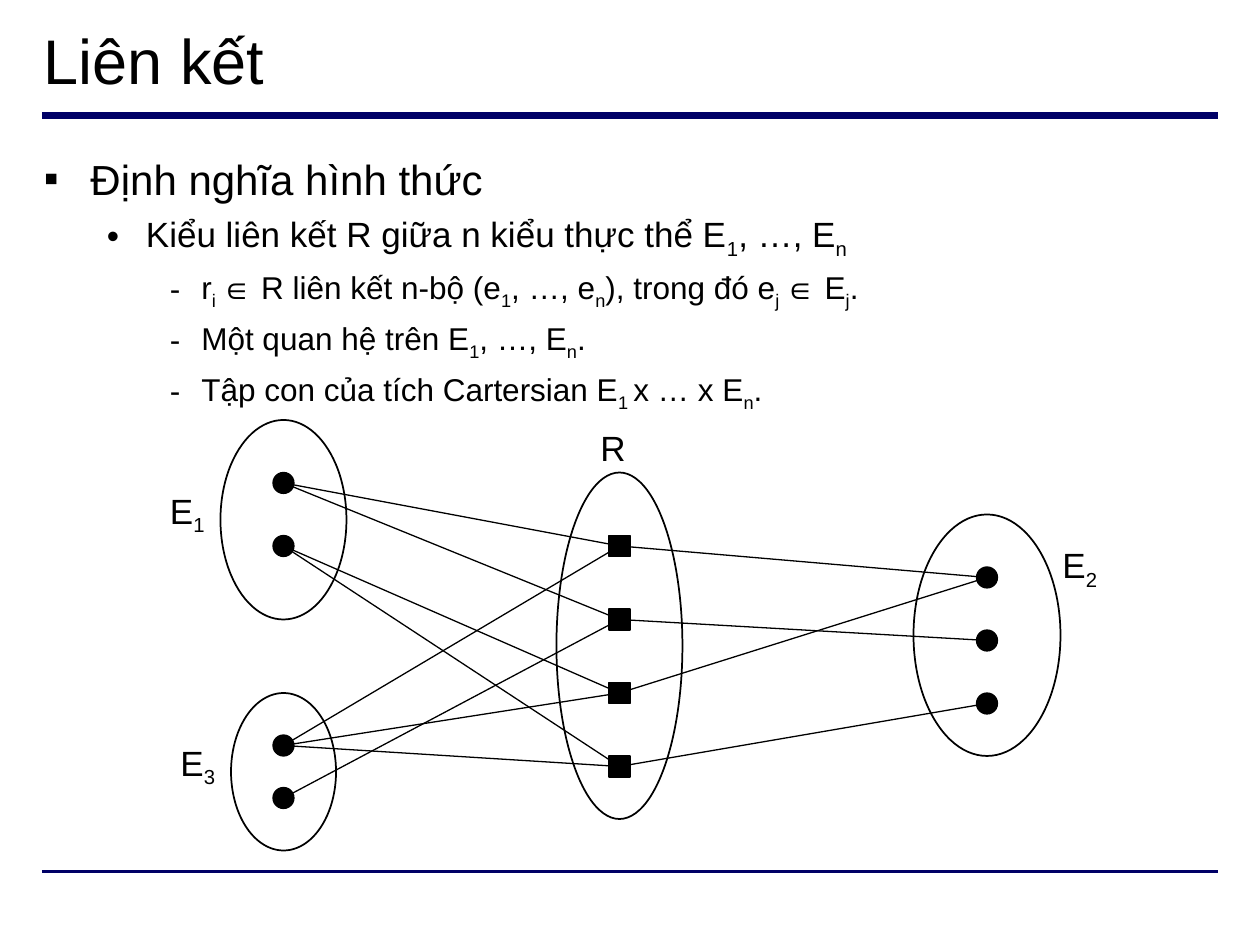
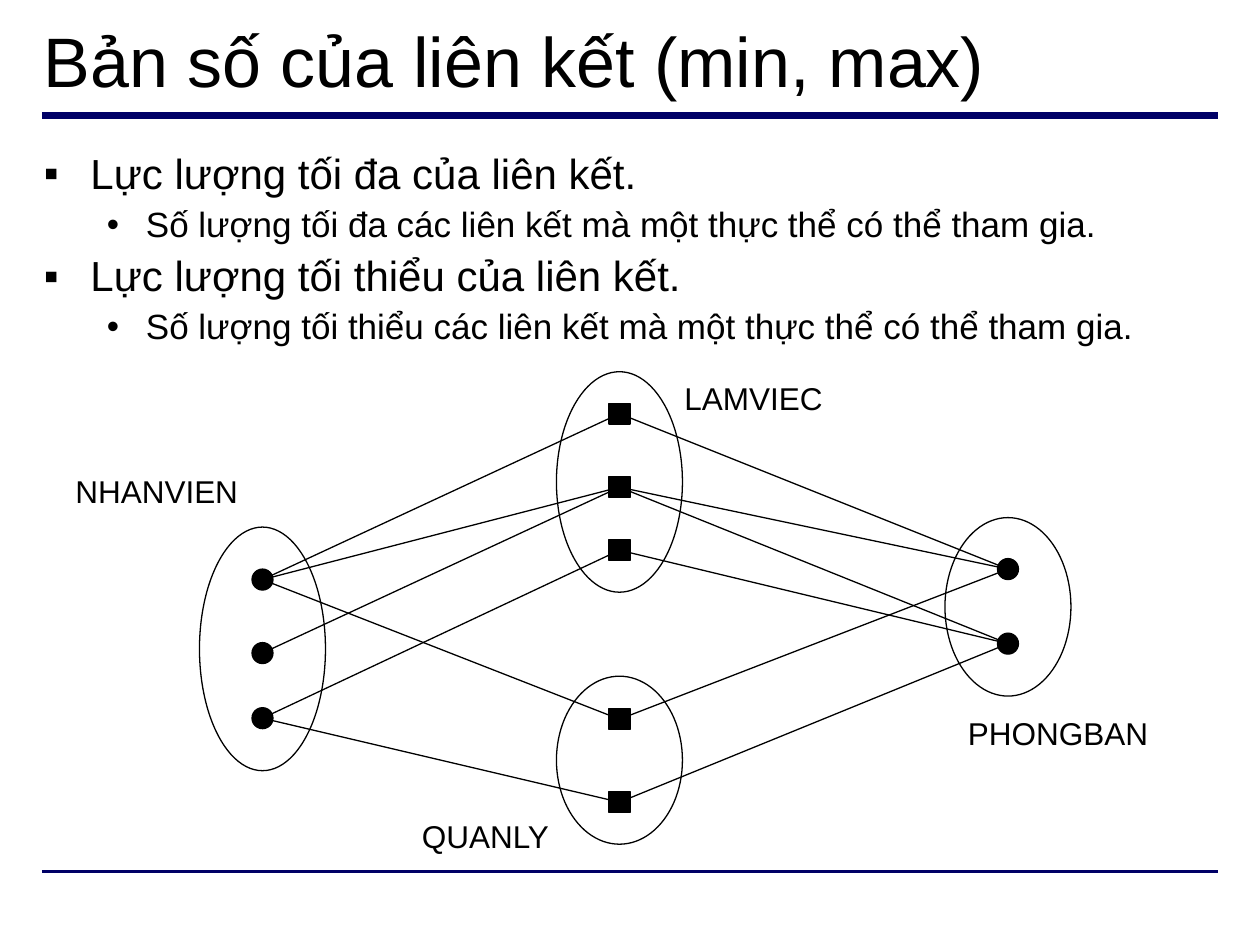
"""Build two slides on relationship types and their cardinality."""
from dataclasses import dataclass
from typing import Optional

from lxml.etree import SubElement
from pptx import Presentation
from pptx.dml.color import RGBColor
from pptx.enum.shapes import MSO_CONNECTOR, MSO_SHAPE
from pptx.enum.text import MSO_ANCHOR
from pptx.oxml.ns import qn
from pptx.slide import Slide
from pptx.text.text import TextFrame
from pptx.util import Inches, Pt

BLACK = RGBColor(0x00, 0x00, 0x00)
WHITE = RGBColor(0xFF, 0xFF, 0xFF)
NAVY = RGBColor(0x00, 0x00, 0x66)
FONT = "Arial"
WIDE, HIGH = Inches(10), Inches(7.5)
COLS, ROWS = 120, 90
DOT = 2
THIN = 0.75


@dataclass(frozen=True)
class Box:
    """A place on the grid, in columns and rows."""
    col: float
    row: float
    wide: float
    high: float

    def place(self) -> tuple[int, int, int, int]:
        """Give left, top, width and height as lengths."""
        return x_at(self.col), y_at(self.row), x_at(self.wide), y_at(self.high)


@dataclass(frozen=True)
class Level:
    """The look of one outline level."""
    mark: str
    left: float
    hang: float
    size: float
    gap: float


@dataclass(frozen=True)
class Group:
    """A ring with a label and a column of dots."""
    key: str
    label: str
    spot: Box
    ring: Box
    col: float
    rows: tuple[float, ...]
    form: MSO_SHAPE = MSO_SHAPE.OVAL


@dataclass(frozen=True)
class Page:
    """All that one slide shows."""
    title: str
    head: float
    lines: tuple[tuple[int, str], ...]
    lead: Optional[float]
    groups: tuple[Group, ...]
    links: str
    size: float
    edge: float
    fill: Optional[RGBColor]


TITLE = Box(3, 1, 114, 9.3)
BODY = Box(3, 14, 114, 66.5)
RULES = ((11, 4.5), (83, 2.25))
LEVELS = (
    Level("▪", 0.37, 0.37, 24, 6),
    Level("•", 0.81, 0.31, 20, 5),
    Level("-", 1.25, 0.25, 18, 4.5),
)

PAGES = (
    Page(
        "Liên kết", 36,
        (
            (0, "Định nghĩa hình thức"),
            (1, "Kiểu liên kết R giữa n kiểu thực thể E|1|, …, E|n"),
            (2, "r|i |∈ R liên kết n-bộ (e|1|, …, e|n|), trong đó e|j |∈ E|j|."),
            (2, "Một quan hệ trên E|1|, …, E|n|."),
            (2, "Tập con của tích Cartersian E|1 |x … x E|n|."),
        ),
        None,
        (
            Group("B", "E|2", Box(100, 51.2, 7, 5.8), Box(87, 49, 14, 23), 94, (55, 61, 67)),
            Group("R", "R", Box(56, 40, 5, 5.3), Box(53, 45, 12, 33), 59,
                  (52, 59, 66, 73), MSO_SHAPE.RECTANGLE),
            Group("A", "E|1", Box(15, 46, 6, 5.8), Box(21, 40, 12, 19), 27, (46, 52)),
            Group("C", "E|3", Box(16, 70, 6, 5.8), Box(22, 66, 10, 15), 27, (71, 76)),
        ),
        "A1-R1 C1-R1 R1-B1 A1-R2 C2-R2 R2-B2 A2-R3 C1-R3 R3-B1 A2-R4 C1-R4 R4-B3",
        20, 1, WHITE,
    ),
    Page(
        "Bản số của liên kết (min, max)", 40,
        (
            (0, "Lực lượng tối đa của liên kết."),
            (1, "Số lượng tối đa các liên kết mà một thực thể có thể tham gia."),
            (0, "Lực lượng tối thiểu của liên kết."),
            (1, "Số lượng tối thiểu các liên kết mà một thực thể có thể tham gia."),
        ),
        0.9,
        (
            Group("N", "NHANVIEN", Box(6, 44.4, 19, 4.8), Box(19, 50.2, 12, 23.2), 25,
                  (55.2, 62.2, 68.4)),
            Group("P", "PHONGBAN", Box(91, 67.4, 20, 4.8), Box(90, 49.3, 12, 17), 96,
                  (54.2, 61.3)),
            Group("Q", "QUANLY", Box(39, 77.2, 15, 4.8), Box(53, 64.4, 12, 16), 59,
                  (68.5, 76.4), MSO_SHAPE.RECTANGLE),
            Group("L", "LAMVIEC", Box(64, 35.5, 17, 4.8), Box(53, 35.4, 12, 21), 59,
                  (39.4, 46.4, 52.4), MSO_SHAPE.RECTANGLE),
        ),
        "N1-L1 L1-P1 N2-L2 L2-P2 N3-Q2 Q1-P1 N1-L2 N1-Q1 P2-Q2 L2-P1 N3-L3 L3-P2",
        18, THIN, None,
    ),
)


def x_at(col: float) -> int:
    """Turn columns into a length."""
    return round(WIDE * col / COLS)


def y_at(row: float) -> int:
    """Turn rows into a length."""
    return round(HIGH * row / ROWS)


def add_runs(para, text: str, size: float) -> None:
    """Add runs to a paragraph; every second part is a subscript."""
    for num, part in enumerate(text.split("|")):
        if not part:
            continue
        run = para.add_run()
        run.text = part
        run.font.name = FONT
        run.font.size = Pt(size)
        run.font.color.rgb = BLACK
        if num % 2:
            run.font._element.set("baseline", "-25000")


def add_frame(slide: Slide, box: Box) -> TextFrame:
    """Add a text box that wraps."""
    frame = slide.shapes.add_textbox(*box.place()).text_frame
    frame.word_wrap = True
    return frame


def add_mark(para, level: Level) -> None:
    """Give a paragraph its bullet and indent."""
    props = para._p.get_or_add_pPr()
    props.set("marL", str(Inches(level.left)))
    props.set("indent", str(-Inches(level.hang)))
    tint = SubElement(props, qn("a:buClr"))
    SubElement(tint, qn("a:srgbClr")).set("val", str(BLACK))
    SubElement(props, qn("a:buFont")).set("typeface", FONT)
    SubElement(props, qn("a:buChar")).set("char", level.mark)


def add_body(slide: Slide, page: Page) -> None:
    """Write the outline of a page."""
    frame = add_frame(slide, BODY)
    for num, (depth, text) in enumerate(page.lines):
        para = frame.add_paragraph() if num else frame.paragraphs[0]
        level = LEVELS[depth]
        para.level = depth
        add_mark(para, level)
        para.space_before = Pt(level.gap if num else 0)
        if page.lead:
            para.line_spacing = page.lead
        add_runs(para, text, level.size)


def add_line(slide: Slide, start: tuple[float, float], end: tuple[float, float],
             tint: RGBColor, width: float) -> None:
    """Draw a straight line between two grid points."""
    line = slide.shapes.add_connector(
        MSO_CONNECTOR.STRAIGHT,
        x_at(start[0]), y_at(start[1]), x_at(end[0]), y_at(end[1]))
    line.line.color.rgb = tint
    line.line.width = Pt(width)
    SubElement(line._element.spPr, qn("a:effectLst"))


def add_form(slide: Slide, form: MSO_SHAPE, box: Box,
             fill: Optional[RGBColor], edge: float) -> None:
    """Draw a shape with a black edge."""
    shape = slide.shapes.add_shape(form, *box.place())
    shape.shadow.inherit = False
    if fill is None:
        shape.fill.background()
    else:
        shape.fill.solid()
        shape.fill.fore_color.rgb = fill
    shape.line.color.rgb = BLACK
    shape.line.width = Pt(edge)


def add_mesh(slide: Slide, page: Page) -> None:
    """Draw the rings, links, dots and labels."""
    for group in page.groups:
        add_form(slide, MSO_SHAPE.OVAL, group.ring, page.fill, page.edge)
    dots = {f"{group.key}{num}": (group.col, row)
            for group in page.groups for num, row in enumerate(group.rows, 1)}
    for link in page.links.split():
        start, end = link.split("-")
        add_line(slide, dots[start], dots[end], BLACK, THIN)
    for group in page.groups:
        for row in group.rows:
            spot = Box(group.col - DOT / 2, row - DOT / 2, DOT, DOT)
            add_form(slide, group.form, spot, BLACK, THIN)
        frame = add_frame(slide, group.spot)
        add_runs(frame.paragraphs[0], group.label, page.size)


def add_base(slide: Slide, page: Page) -> None:
    """Draw the rules and the title."""
    for row, width in RULES:
        add_line(slide, (4, row), (COLS - 4, row), NAVY, width)
    frame = add_frame(slide, TITLE)
    frame.vertical_anchor = MSO_ANCHOR.MIDDLE
    add_runs(frame.paragraphs[0], page.title, page.head)


def main() -> None:
    """Build and save the deck."""
    deck = Presentation()
    deck.slide_width, deck.slide_height = WIDE, HIGH
    for page in PAGES:
        slide = deck.slides.add_slide(deck.slide_layouts[6])
        add_base(slide, page)
        add_body(slide, page)
        add_mesh(slide, page)
    deck.save("out.pptx")


if __name__ == "__main__":
    main()
